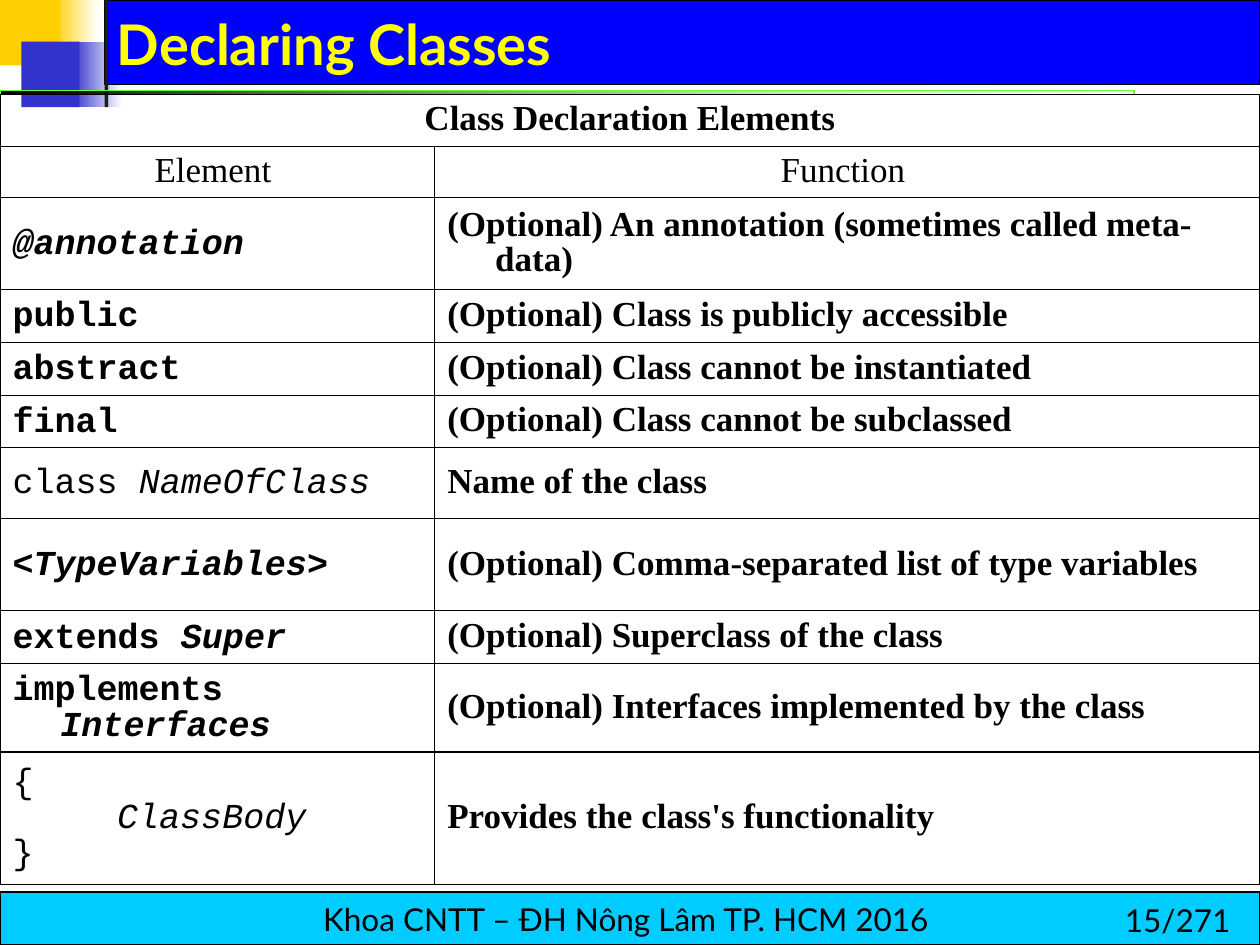
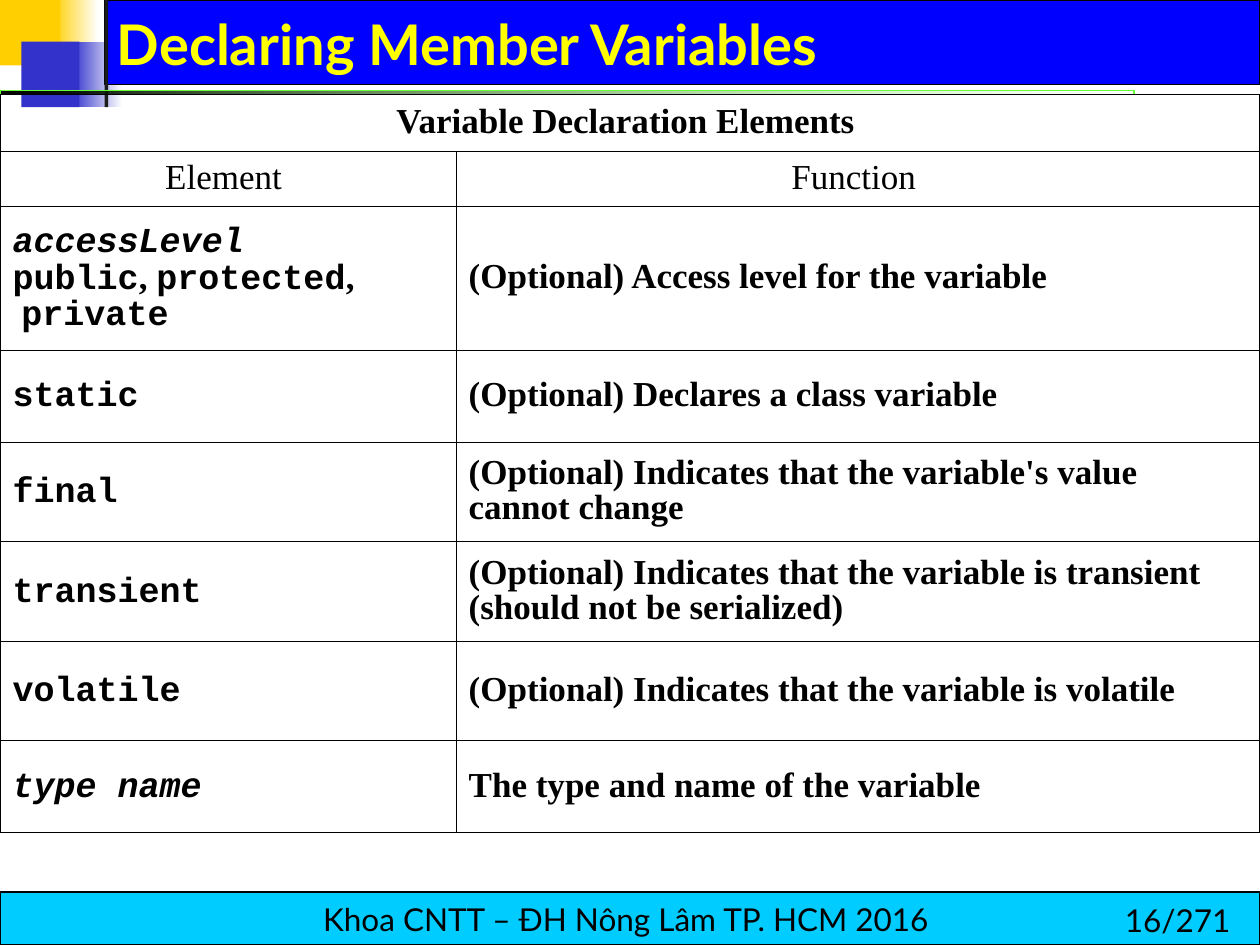
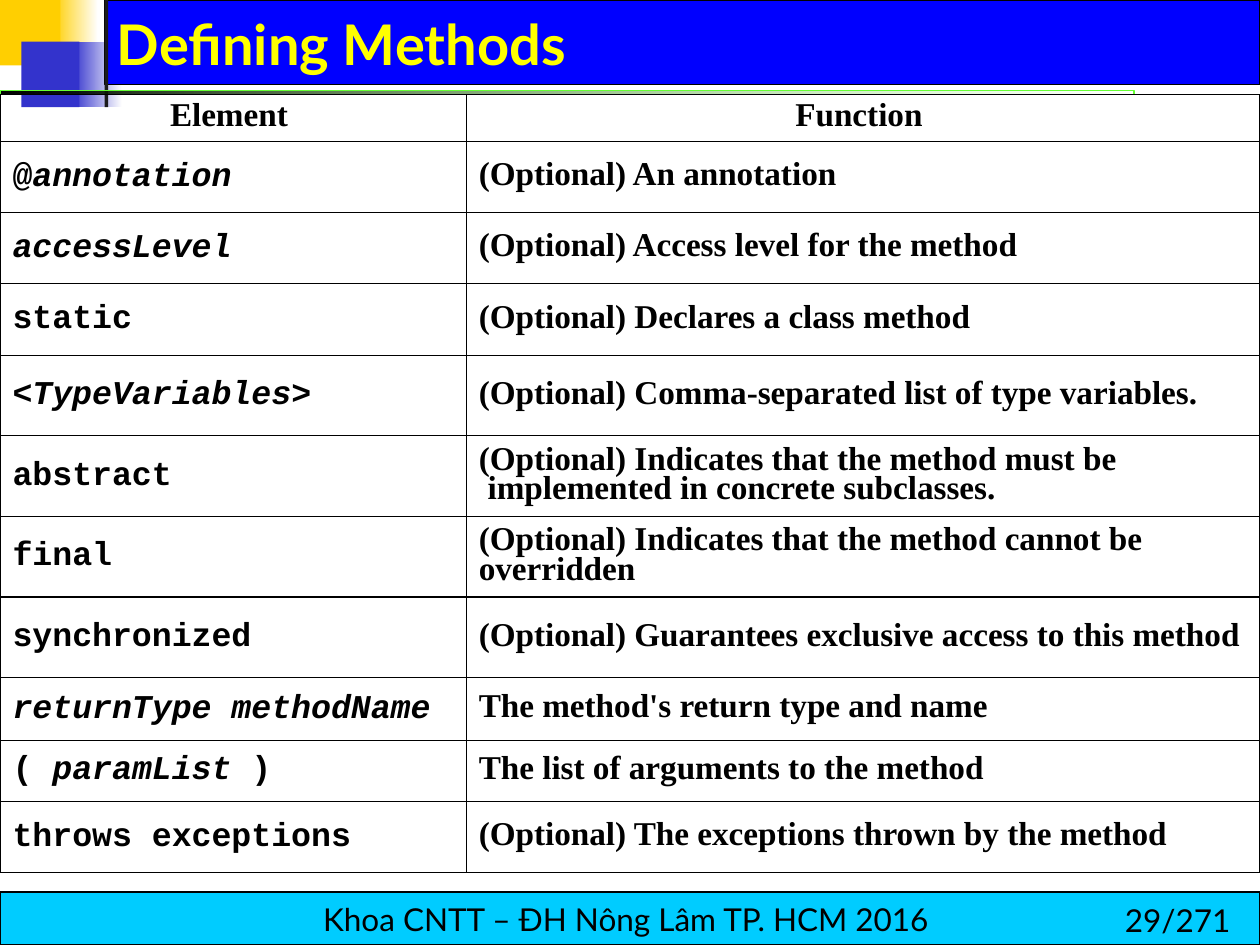
from lxml import etree
from pptx import Presentation
from pptx.dml.color import RGBColor
from pptx.enum.shapes import MSO_SHAPE
from pptx.enum.text import MSO_ANCHOR, PP_ALIGN
from pptx.oxml.ns import qn
from pptx.util import Inches, Pt

RECT = MSO_SHAPE.RECTANGLE
CENTER, LEFT = PP_ALIGN.CENTER, PP_ALIGN.LEFT
TOP, MIDDLE, BOTTOM = MSO_ANCHOR.TOP, MSO_ANCHOR.MIDDLE, MSO_ANCHOR.BOTTOM

BLACK = RGBColor(0x00, 0x00, 0x00)
WHITE = RGBColor(0xFF, 0xFF, 0xFF)
GOLD = RGBColor(0xFF, 0xCF, 0x01)
INDIGO = RGBColor(0x33, 0x33, 0xCC)
BLUE = RGBColor(0x00, 0x00, 0xFF)
INK = RGBColor(0x1C, 0x1C, 0x1C)
LIME = RGBColor(0x66, 0xFF, 0x33)
CYAN = RGBColor(0x00, 0xCC, 0xFF)
YELLOW = RGBColor(0xFF, 0xFF, 0x00)

SANS, SERIF, MONO = "Lato", "Times New Roman", "Courier New"
FOOTER = "Khoa CNTT – ĐH Nông Lâm TP. HCM 2016 "
PAGES = 271
HANG = 0.38
STEP = 0.83

# Cell markup: _italic_, |serif|, a leading ~ for light, a leading tab for a step in.
# Row: height, element, function, then hanging indents of the two cells.
CLASS_ROWS = [
    (0.73, "_@annotation_", "(Optional) An annotation (sometimes called meta-data)"),
    (0.42, "public", "(Optional) Class is publicly accessible"),
    (0.42, "abstract", "(Optional) Class cannot be instantiated"),
    (0.41, "final", "(Optional) Class cannot be subclassed"),
    (0.57, "~class _NameOfClass_", "Name of the class"),
    (0.73, "<_TypeVariables_>", "(Optional) Comma-separated list of type variables"),
    (0.42, "extends _Super_", "(Optional) Superclass of the class"),
    (0.57, "implements _Interfaces_", "(Optional) Interfaces implemented by the class"),
    (1.05, "~{\n\t_ClassBody_\n}", "Provides the class's functionality"),
]
VARIABLE_ROWS = [
    (1.14, "_accessLevel_\npublic|, |protected|, |private",
     "(Optional) Access level for the variable", 0.07, HANG),
    (0.73, "static", "(Optional) Declares a class variable"),
    (0.79, "final", "(Optional) Indicates that the variable's value cannot change", HANG, 0),
    (0.79, "transient",
     "(Optional) Indicates that the variable is transient (should not be serialized)", HANG, 0),
    (0.79, "volatile", "(Optional) Indicates that the variable is volatile", HANG, 0),
    (0.73, "_type name_", "The type and name of the variable"),
]
METHOD_ROWS = [
    (0.57, "@_annotation_", "(Optional) An annotation"),
    (0.56, "_accessLevel_", "(Optional) Access level for the method"),
    (0.57, "static", "(Optional) Declares a class method"),
    (0.64, "<_TypeVariables_>", "(Optional) Comma-separated list of type variables.", HANG, 0.07),
    (0.64, "abstract",
     "(Optional) Indicates that the method must be implemented in concrete subclasses.",
     HANG, 0.07),
    (0.64, "final", "(Optional) Indicates that the method cannot be overridden", HANG, 0),
    (0.64, "synchronized", "(Optional) Guarantees exclusive access to this method", HANG, 0),
    (0.5, "_returnType methodName_", "The method's return type and name"),
    (0.48, "( _paramList_ )", "The list of arguments to the method"),
    (0.57, "throws exceptions", "(Optional) The exceptions thrown by the method"),
]


def set_font(font, name, size, color, bold=False):
    font.name, font.size, font.bold = name, Pt(size), bold
    font.color.rgb = color


def add_box(slide, x, y, w, h, fill, edge=None, width=0.75):
    """Add a rectangle; a list of two colours as fill makes a gradient to the right."""
    box = slide.shapes.add_shape(RECT, Inches(x), Inches(y), Inches(w), Inches(h))
    box.shadow.inherit = False
    if isinstance(fill, list):
        box.fill.gradient()
        box.fill.gradient_angle = 0
        for stop, color, place in zip(box.fill.gradient_stops, fill, (0, 1)):
            stop.color.rgb = color
            stop.position = place
    else:
        box.fill.solid()
        box.fill.fore_color.rgb = fill
    if edge is None:
        box.line.fill.background()
    else:
        box.line.color.rgb = edge
        box.line.width = Pt(width)
    return box


def fade_end(box):
    """Make the last gradient stop fully transparent."""
    last = list(box._element.spPr.iter(qn("a:gs")))[-1]
    etree.SubElement(last[0], qn("a:alpha"), val="0")


def add_text(slide, x, y, w, h, text, size, color, bold=False, anchor=TOP):
    box = slide.shapes.add_textbox(Inches(x), Inches(y), Inches(w), Inches(h))
    frame = box.text_frame
    frame.word_wrap = True
    frame.vertical_anchor = anchor
    frame.text = text
    set_font(frame.paragraphs[0].font, SANS, size, color, bold)


def add_frame(slide, title, page):
    """Draw the corner squares, title band, rule and footer."""
    add_box(slide, 0.42, 0, 0.36, 0.52, [GOLD, WHITE])
    add_box(slide, 0.57, 0.33, 0.4, 0.52, [INDIGO, WHITE])
    add_box(slide, 0.83, 0, 9.17, 0.67, BLUE, BLACK)
    add_box(slide, 0, 0, 0.48, 0.52, GOLD)
    add_box(slide, 0.17, 0.33, 0.46, 0.52, INDIGO)
    add_box(slide, 0.83, 0, 0.03, 0.85, INK)
    fade_end(add_box(slide, 0, 0.72, 9, 0.03, [BLACK, LIME], LIME, 0))
    frame = add_box(slide, 0, 7.08, 10, 0.42, CYAN, BLACK).text_frame
    frame.word_wrap = False
    frame.vertical_anchor = MIDDLE
    frame.text = FOOTER
    line = frame.paragraphs[0]
    line.alignment = CENTER
    set_font(line.font, SANS, 18, BLACK)
    add_text(slide, 8.83, 7.1, 1.17, 0.4, f"{page}/{PAGES}", 18, BLACK)
    add_text(slide, 0.83, 0.08, 8.94, 0.58, title, 32, YELLOW, True, BOTTOM)


def add_runs(line, text):
    """Split marked text into runs: _italic_ and |serif|."""
    for i, part in enumerate(text.split("_")):
        for j, piece in enumerate(part.split("|")):
            if piece:
                run = line.add_run()
                run.text = piece
                if i % 2:
                    run.font.italic = True
                if j % 2:
                    run.font.name = SERIF


def fill_cell(cell, text, font, size, gap, hang=HANG, align=LEFT):
    cell.vertical_anchor = MIDDLE
    bold = not text.startswith("~")
    frame = cell.text_frame
    for i, words in enumerate(text.lstrip("~").split("\n")):
        line = frame.add_paragraph() if i else frame.paragraphs[0]
        line.alignment = align
        line.line_spacing = gap
        set_font(line.font, font, size, BLACK, bold)
        props = line._p.get_or_add_pPr()
        step = words.startswith("\t")
        props.set("marL", str(Inches(STEP if step else hang)))
        props.set("indent", str(0 if step else -Inches(hang)))
        add_runs(line, words.lstrip("\t"))


def add_edges(cell):
    props = cell._tc.get_or_add_tcPr()
    for i, side in enumerate(("lnL", "lnR", "lnT", "lnB")):
        edge = etree.Element(qn("a:" + side), w=str(Pt(0.75)))
        paint = etree.SubElement(edge, qn("a:solidFill"))
        etree.SubElement(paint, qn("a:srgbClr"), val=str(BLACK))
        props.insert(i, edge)


def add_grid(slide, cols, heads, rows, size, gap):
    """Add the table; a head with a single text spans both columns."""
    highs = [high for high, *_ in heads + rows]
    grid = slide.shapes.add_table(len(highs), 2, 0, Inches(0.75),
                                  Inches(10), Inches(sum(highs))).table
    grid.first_row = grid.horz_banding = False
    for col, wide in zip(grid.columns, cols):
        col.width = Inches(wide)
    for row, high in zip(grid.rows, highs):
        row.height = Inches(high)
    for cell in grid.iter_cells():
        cell.fill.background()
        add_edges(cell)
    for r, (_, *texts) in enumerate(heads):
        if len(texts) == 1:
            grid.cell(r, 0).merge(grid.cell(r, 1))
        for c, text in enumerate(texts):
            fill_cell(grid.cell(r, c), text, SERIF, size, gap, align=CENTER)
    for r, (_, code, note, *hangs) in enumerate(rows, len(heads)):
        left, right = hangs or (HANG, HANG)
        fill_cell(grid.cell(r, 0), code, MONO, size, gap, left)
        fill_cell(grid.cell(r, 1), note, SERIF, size, gap, right)


def main():
    deck = Presentation()
    deck.slide_width, deck.slide_height = Inches(10), Inches(7.5)
    pages = [
        ("Declaring Classes", 15, (3.45, 6.55),
         [(0.41, "Class Declaration Elements"), (0.41, "~Element ", "~Function ")],
         CLASS_ROWS, 20, 0.9),
        ("Declaring Member Variables", 16, (3.62, 6.38),
         [(0.45, "Variable Declaration Elements "), (0.44, "~Element ", "~Function ")],
         VARIABLE_ROWS, 20, 0.9),
        ("Defining Methods", 29, (3.7, 6.3),
         [(0.37, "Element ", "Function ")], METHOD_ROWS, 19, 0.8),
    ]
    for title, page, *grid in pages:
        slide = deck.slides.add_slide(deck.slide_layouts[6])
        add_frame(slide, title, page)
        add_grid(slide, *grid)
    deck.save("out.pptx")


if __name__ == "__main__":
    main()
